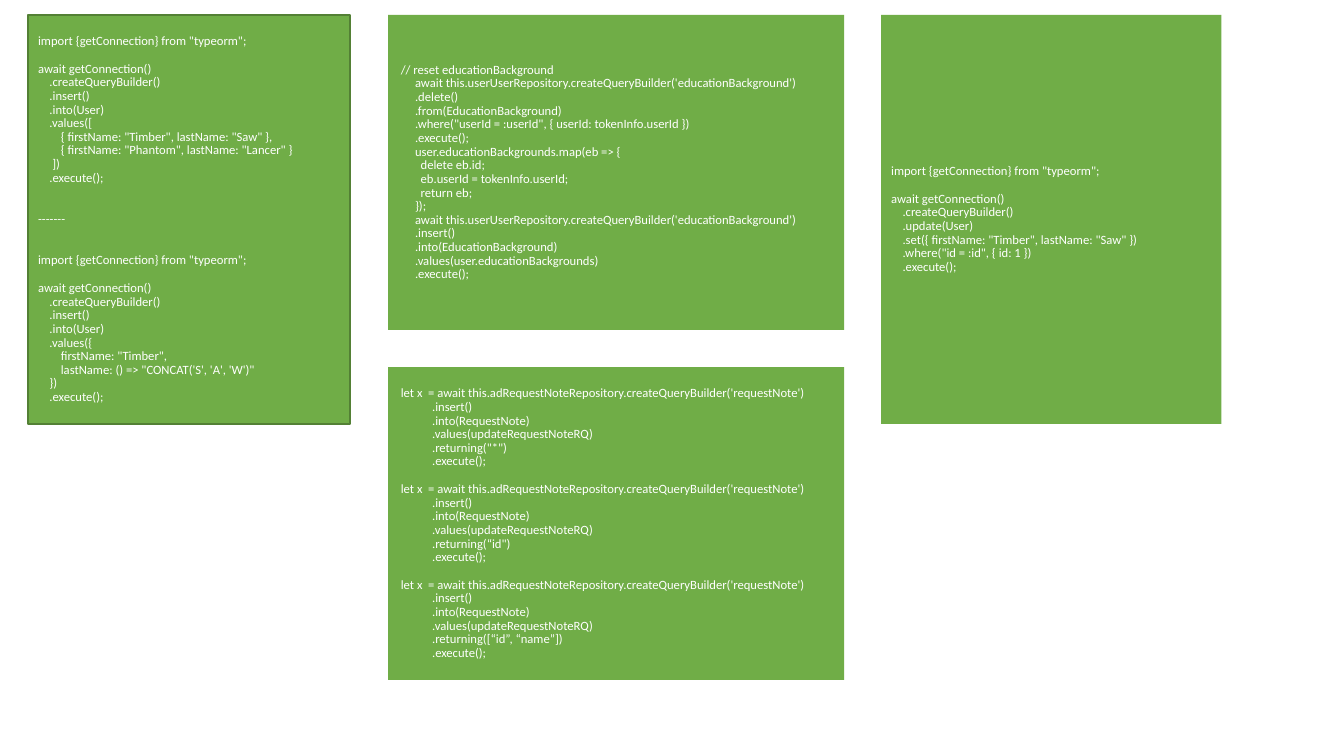
from pptx import Presentation
from pptx.dml.color import RGBColor
from pptx.enum.shapes import MSO_SHAPE
from pptx.enum.text import MSO_ANCHOR, MSO_AUTO_SIZE, PP_ALIGN
from pptx.util import Inches, Pt

RECTANGLE = MSO_SHAPE.RECTANGLE
MIDDLE = MSO_ANCHOR.MIDDLE
NO_AUTOFIT = MSO_AUTO_SIZE.NONE
LEFT = PP_ALIGN.LEFT

GREEN = RGBColor(0x70, 0xAD, 0x47)
DARK_GREEN = RGBColor(0x53, 0x80, 0x35)
WHITE = RGBColor(0xFF, 0xFF, 0xFF)

PIXEL = Inches(1) / 100.8
FONT_NAME = "Calibri"
FONT_SIZE = Pt(9)
LINE_SPACING = 0.9
LINE_HEIGHT = 9.88  # points taken by one line of code
SPACE_WIDTH = 2.03  # points taken by one leading space
TITLE_ONLY = 5

# Code samples: leading spaces become indents, empty lines become spacing
QUERY_START = """import {getConnection} from "typeorm";

await getConnection()
    .createQueryBuilder()
"""

INSERT_START = QUERY_START + """    .insert()
    .into(User)
"""

INSERT_CODE = INSERT_START + """    .values([
        { firstName: "Timber", lastName: "Saw" },
        { firstName: "Phantom", lastName: "Lancer" }
     ])
    .execute();


-------


""" + INSERT_START + """    .values({
        firstName: "Timber",
        lastName: () => "CONCAT('S', 'A', 'W')"
    })
    .execute();"""

UPDATE_CODE = QUERY_START + """    .update(User)
    .set({ firstName: "Timber", lastName: "Saw" })
    .where("id = :id", { id: 1 })
    .execute();"""

RESET_CODE = """ // reset educationBackground
      await this.userUserRepository.createQueryBuilder('educationBackground')
      .delete()
      .from(EducationBackground)
      .where("userId = :userId", { userId: tokenInfo.userId })
      .execute();
      user.educationBackgrounds.map(eb => {
        delete eb.id;
        eb.userId = tokenInfo.userId;
        return eb;
      });
      await this.userUserRepository.createQueryBuilder('educationBackground')
      .insert()
      .into(EducationBackground)
      .values(user.educationBackgrounds)
      .execute();"""

RETURNING_CODE = """ let x  = await this.adRequestNoteRepository.createQueryBuilder('requestNote')
            .insert()
            .into(RequestNote)
            .values(updateRequestNoteRQ)
            .returning(%s)
            .execute();"""
RETURNED_COLUMNS = ['"*"', '\u201cid"', "[\u201cid\u201d, \u201cname\u201d]"]


def px(count):
    return round(count * PIXEL)


def write_code(panel, code):
    """Write one paragraph for each line of code that is not empty."""
    frame = panel.text_frame
    frame.word_wrap = True
    frame.auto_size = NO_AUTOFIT
    frame.vertical_anchor = MIDDLE
    paragraph = frame.paragraphs[0]
    empty_lines = 0
    for number, line in enumerate(code.splitlines()):
        statement = line.strip()
        if not statement:
            empty_lines += 1
            continue
        if number:
            paragraph = frame.add_paragraph()
        paragraph.text = statement
        paragraph.alignment = LEFT
        paragraph.line_spacing = LINE_SPACING
        paragraph.space_before = Pt(empty_lines * LINE_HEIGHT)
        paragraph.space_after = Pt(0)
        leading_spaces = len(line) - len(line.lstrip())
        properties = paragraph._p.get_or_add_pPr()
        properties.set("marL", str(Pt(leading_spaces * SPACE_WIDTH)))
        properties.set("indent", "0")
        font = paragraph.runs[0].font
        font.name = FONT_NAME
        font.size = FONT_SIZE
        font.color.rgb = WHITE
        empty_lines = 0


def fill_green(panel):
    panel.fill.solid()
    panel.fill.fore_color.rgb = GREEN


def format_title(title, left, top, width, height, code):
    title.left, title.top = px(left), px(top)
    title.width, title.height = px(width), px(height)
    fill_green(title)
    title.line.color.rgb = DARK_GREEN
    title.line.width = Pt(1)
    write_code(title, code)


def add_code_panel(slide, left, top, width, height, code):
    panel = slide.shapes.add_shape(
        RECTANGLE, px(left), px(top), px(width), px(height))
    panel.shadow.inherit = False
    fill_green(panel)
    panel.line.fill.background()
    write_code(panel, code)


def main():
    presentation = Presentation()
    presentation.slide_width = Inches(13.33)
    presentation.slide_height = Inches(7.5)
    slide = presentation.slides.add_slide(
        presentation.slide_layouts[TITLE_ONLY])

    # Left column: inserts
    format_title(slide.shapes.title, 28, 15, 322, 409, INSERT_CODE)

    # Middle column: reset, then inserts with returned columns
    add_code_panel(slide, 388, 15, 456, 315, RESET_CODE)
    returning_code = "\n\n".join(
        RETURNING_CODE % columns for columns in RETURNED_COLUMNS)
    add_code_panel(slide, 388, 367, 456, 313, returning_code)

    # Right column: update
    add_code_panel(slide, 881, 15, 340, 409, UPDATE_CODE)

    presentation.save("out.pptx")


if __name__ == "__main__":
    main()
